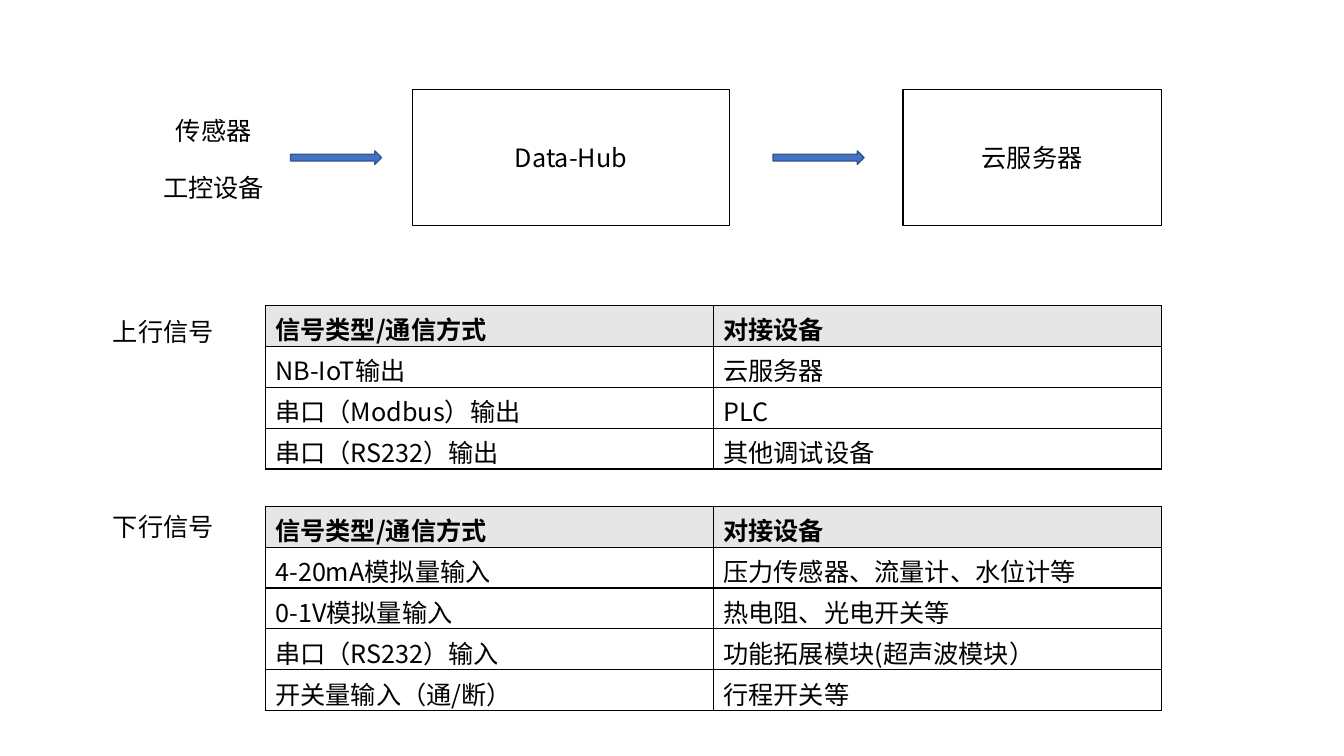
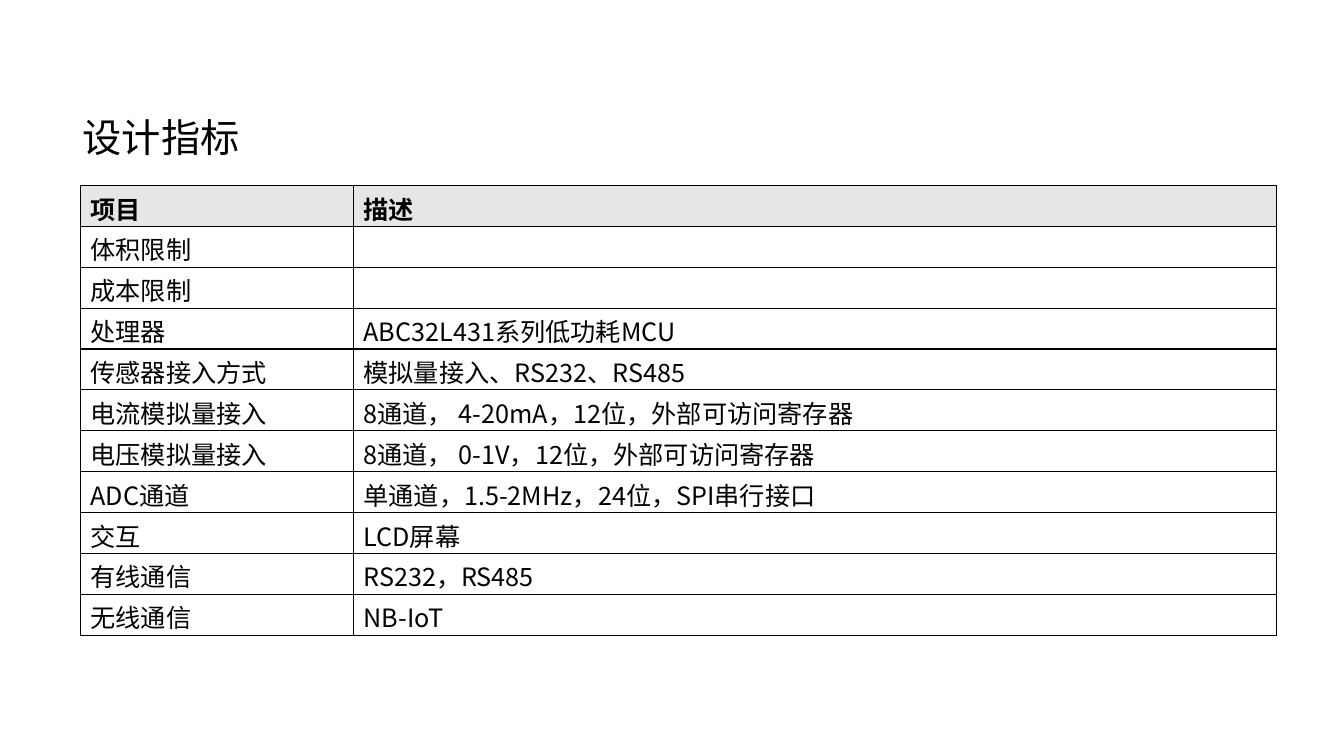
from lxml import etree
from pptx import Presentation
from pptx.dml.color import RGBColor
from pptx.enum.shapes import MSO_SHAPE
from pptx.enum.text import MSO_ANCHOR, MSO_AUTO_SIZE, PP_ALIGN
from pptx.oxml.ns import qn
from pptx.util import Pt

RECTANGLE, RIGHT_ARROW = MSO_SHAPE.RECTANGLE, MSO_SHAPE.RIGHT_ARROW
LEFT, CENTER = PP_ALIGN.LEFT, PP_ALIGN.CENTER
TOP, MIDDLE = MSO_ANCHOR.TOP, MSO_ANCHOR.MIDDLE
GROW = MSO_AUTO_SIZE.SHAPE_TO_FIT_TEXT

BLACK = RGBColor(0x00, 0x00, 0x00)
WHITE = RGBColor(0xFF, 0xFF, 0xFF)
HEADER_GRAY = RGBColor(0xE7, 0xE6, 0xE6)
ARROW_BLUE = RGBColor(0x44, 0x72, 0xC4)
ARROW_EDGE = RGBColor(0x32, 0x54, 0x91)

FONT = "Noto Sans CJK SC"
BODY_SIZE, TITLE_SIZE = 18, 28
ROW_HEIGHT = 29.2
LABEL_HEIGHT = 29
TITLE_ONLY, BLANK = 5, 6

SIGNAL_HEADER = ("信号类型/通信方式", "对接设备")
UPLINK = [
    SIGNAL_HEADER,
    ("NB-IoT输出", "云服务器"),
    ("串口（Modbus）输出", "PLC"),
    ("串口（RS232）输出", "其他调试设备"),
]
DOWNLINK = [
    SIGNAL_HEADER,
    ("4-20mA模拟量输入", "压力传感器、流量计、水位计等"),
    ("0-1V模拟量输入", "热电阻、光电开关等"),
    ("串口（RS232）输入", "功能拓展模块(超声波模块）"),
    ("开关量输入（通/断）", "行程开关等"),
]
TARGETS = [
    ("项目", "描述"),
    ("体积限制", ""),
    ("成本限制", ""),
    ("处理器", "ABC32L431系列低功耗MCU"),
    ("传感器接入方式", "模拟量接入、RS232、RS485"),
    ("电流模拟量接入", "8通道， 4-20mA，12位，外部可访问寄存器"),
    ("电压模拟量接入", "8通道， 0-1V，12位，外部可访问寄存器"),
    ("ADC通道", "单通道，1.5-2MHz，24位，SPI串行接口"),
    ("交互", "LCD屏幕"),
    ("有线通信", "RS232，RS485"),
    ("无线通信", "NB-IoT"),
]


def write(frame, text, size=BODY_SIZE, bold=False, align=LEFT):
    """Put one formatted paragraph into a text frame."""
    frame.text = text
    paragraph = frame.paragraphs[0]
    paragraph.alignment = align
    for run in paragraph.runs:
        run.font.size = Pt(size)
        run.font.bold = bold
        run.font.name = FONT
        run.font.color.rgb = BLACK
        east_asian = etree.SubElement(run.font._element, qn("a:ea"))
        east_asian.set("typeface", FONT)


def add_label(slide, text, left, top, width, align=LEFT):
    """Add a one-line label."""
    label = slide.shapes.add_textbox(Pt(left), Pt(top), Pt(width), Pt(LABEL_HEIGHT))
    label.text_frame.word_wrap = True
    label.text_frame.auto_size = GROW
    write(label.text_frame, text, align=align)


def add_block(slide, preset, box, fill, edge, text=""):
    """Add a filled and outlined preset shape with optional centred text."""
    block = slide.shapes.add_shape(preset, *map(Pt, box))
    block.shadow.inherit = False
    block.fill.solid()
    block.fill.fore_color.rgb = fill
    block.line.color.rgb = edge
    block.line.width = Pt(1)
    if text:
        block.text_frame.vertical_anchor = MIDDLE
        write(block.text_frame, text, align=CENTER)


def add_borders(cell):
    """Draw a thin black line on each side of a cell."""
    properties = cell._tc.get_or_add_tcPr()
    for position, side in enumerate(("a:lnL", "a:lnR", "a:lnT", "a:lnB")):
        border = etree.Element(qn(side), w=str(Pt(1)))
        color = etree.SubElement(etree.SubElement(border, qn("a:solidFill")), qn("a:srgbClr"))
        color.set("val", str(BLACK))
        properties.insert(position, border)


def add_grid(slide, rows, left, top, widths, margins=(3.6, 3.6)):
    """Add a bordered table with a gray bold header row."""
    frame = slide.shapes.add_table(
        len(rows), len(widths), Pt(left), Pt(top), Pt(sum(widths)), Pt(ROW_HEIGHT * len(rows))
    )
    grid = frame.table
    grid.horz_banding = False
    for column, width in zip(grid.columns, widths):
        column.width = Pt(width)
    for row_index, texts in enumerate(rows):
        is_header = row_index == 0
        grid.rows[row_index].height = Pt(ROW_HEIGHT)
        for column_index, text in enumerate(texts):
            cell = grid.cell(row_index, column_index)
            cell.margin_top, cell.margin_bottom = map(Pt, margins)
            write(cell.text_frame, text, bold=is_header)
            if is_header:
                cell.fill.solid()
                cell.fill.fore_color.rgb = HEADER_GRAY
            else:
                cell.fill.background()
            add_borders(cell)


def add_data_flow(slide, left, top, height):
    """Draw the path from field devices through the hub to the server."""
    for text, offset in (("传感器", 15), ("工控设备", 55.5)):
        add_label(slide, text, left, top + offset, 86.4, CENTER)
    for text, offset, width in (("Data-Hub", 185, 226.8), ("云服务器", 535.5, 184.5)):
        add_block(slide, RECTANGLE, (left + offset, top, width, height), WHITE, BLACK, text)
    thickness = 9.6
    for offset in (98, 442.7):
        arrow_box = (left + offset, top + (height - thickness) / 2, 65, thickness)
        add_block(slide, RIGHT_ARROW, arrow_box, ARROW_BLUE, ARROW_EDGE)


def add_signal_section(slide, name, rows, left, top, label_drop=0):
    """Add a signal table with its name on the left."""
    add_label(slide, name, left, top + label_drop, 98)
    add_grid(slide, rows, left + 116, top, (320, 320))


def build_signals(deck):
    """Build the slide on data flow and signal types."""
    slide = deck.slides.add_slide(deck.slide_layouts[BLANK])
    add_data_flow(slide, 109.5, 64, 97.2)
    add_signal_section(slide, "上行信号", UPLINK, 73.5, 218.2, 4.3)
    add_signal_section(slide, "下行信号", DOWNLINK, 73.5, 361.6)


def build_targets(deck):
    """Build the slide with the design targets."""
    slide = deck.slides.add_slide(deck.slide_layouts[TITLE_ONLY])
    title = slide.shapes.title
    title.left, title.top, title.width, title.height = map(Pt, (52, 77, 209.5, 41))
    title.text_frame.vertical_anchor = TOP
    title.text_frame.auto_size = GROW
    write(title.text_frame, "设计指标", TITLE_SIZE)
    add_grid(slide, TARGETS, 57.5, 132.5, (195, 659.5), (3.1, 0))


def main():
    """Create and save the presentation."""
    deck = Presentation()
    deck.slide_width, deck.slide_height = Pt(960), Pt(540)
    build_signals(deck)
    build_targets(deck)
    deck.save("out.pptx")


if __name__ == "__main__":
    main()
